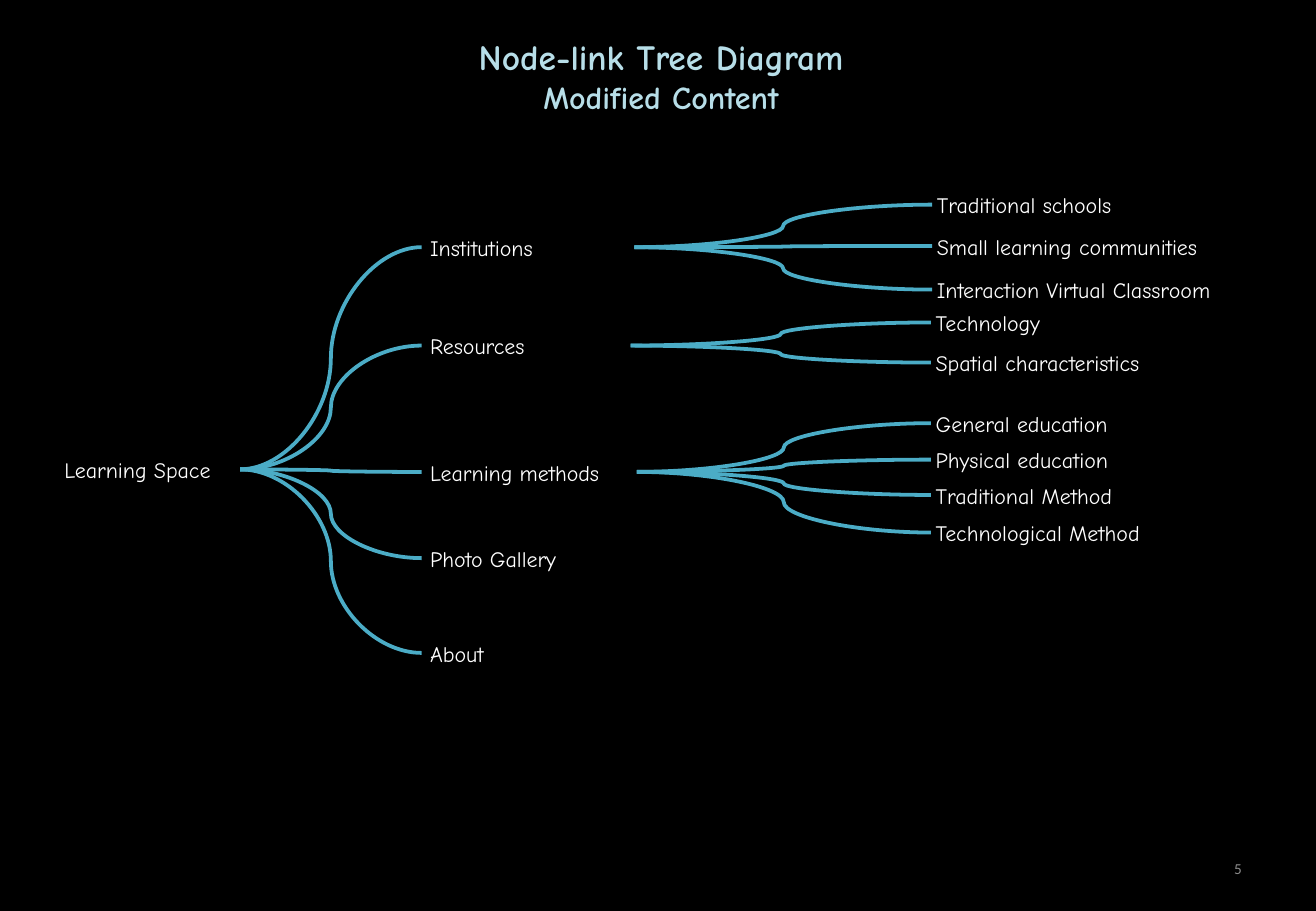
from lxml.etree import SubElement
from pptx import Presentation
from pptx.dml.color import RGBColor
from pptx.enum.shapes import MSO_CONNECTOR
from pptx.enum.text import MSO_ANCHOR, MSO_AUTO_SIZE, PP_ALIGN
from pptx.oxml.ns import qn
from pptx.util import Pt

BLACK = RGBColor(0x00, 0x00, 0x00)
WHITE = RGBColor(0xFF, 0xFF, 0xFF)
TEAL = RGBColor(0x4B, 0xAC, 0xC6)
PALE_BLUE = RGBColor(0xB7, 0xDE, 0xE8)
GRAY = RGBColor(0x8C, 0x8C, 0x8C)

LABEL_FONT = {"name": "Comic Neue", "size": Pt(13)}
TITLE_FONT = {"name": "Comic Neue", "size": Pt(21), "bold": True}
SUBTITLE_FONT = {**TITLE_FONT, "size": Pt(19)}
NUMBER_FONT = {"name": "Calibri", "size": Pt(9)}

WIDE_INSETS = (5.04, 2.88)
NARROW_INSETS = (2.88, 1.44)
BRANCH_LEFT, BRANCH_HEIGHT = 249.84, 20.9
LEAF_HEIGHT = 18

ROOT = ("Learning Space", 33.1, 267.8, 109.2)
BRANCHES = [
    ("Institutions", 136.1, 126, 552.24, [
        ("Traditional schools", 112.3, 131.8),
        ("Small learning communities", 136.8, 180.7),
        ("Interaction Virtual Classroom", 162.7, 197.3),
    ]),
    ("Resources", 194.4, 123.84, 551.52, [
        ("Technology", 182.2, 82.8),
        ("Spatial characteristics", 205.9, 149.8),
    ]),
    ("Learning methods", 269.3, 127.44, 551.52, [
        ("General education", 241.9, 128.2),
        ("Physical education", 263.5, 126),
        ("Traditional Method", 284.4, 136.8),
        ("Technological Method", 306.7, 151.2),
    ]),
    ("Photo Gallery", 320.4, 187.2, 0, []),
    ("About", 376.6, 187.2, 0, []),
]


def format_frame(frame, insets, anchor=MSO_ANCHOR.TOP):
    """Set the insets, wrapping and anchor of a text frame."""
    horizontal, vertical = insets
    settings = {
        "margin_left": Pt(horizontal), "margin_right": Pt(horizontal),
        "margin_top": Pt(vertical), "margin_bottom": Pt(vertical),
        "word_wrap": True, "auto_size": MSO_AUTO_SIZE.NONE,
        "vertical_anchor": anchor,
    }
    for name, value in settings.items():
        setattr(frame, name, value)


def write_paragraph(paragraph, text, font, color, alignment=PP_ALIGN.LEFT):
    """Fill a paragraph with one formatted run."""
    paragraph.alignment = alignment
    paragraph.space_before = Pt(0)
    run = paragraph.add_run()
    run.text = text
    for name, value in font.items():
        setattr(run.font, name, value)
    run.font.color.rgb = color


def add_label(slide, text, left, top, width, height, insets):
    """Add the text of one tree node."""
    box = slide.shapes.add_textbox(Pt(left), Pt(top), Pt(width), Pt(height))
    format_frame(box.text_frame, insets)
    write_paragraph(box.text_frame.paragraphs[0], text, LABEL_FONT, WHITE)
    return box


def add_link(slide, parent, child):
    """Join the right side of a parent to the left side of a child."""
    connector = slide.shapes.add_connector(MSO_CONNECTOR.CURVE, 0, 0, 0, 0)
    connector.begin_connect(parent, 3)
    connector.end_connect(child, 1)
    connector.line.color.rgb = TEAL
    connector.line.width = Pt(2.25)
    SubElement(connector._element.spPr, qn("a:effectLst"))


def add_title(slide):
    """Place and fill the two-line title."""
    title = slide.shapes.title
    title.left, title.top, title.width, title.height = map(Pt, (265.7, 19.4, 252, 51.1))
    frame = title.text_frame
    format_frame(frame, NARROW_INSETS)
    write_paragraph(frame.paragraphs[0], "Node-link Tree Diagram",
                    TITLE_FONT, PALE_BLUE, PP_ALIGN.CENTER)
    write_paragraph(frame.add_paragraph(), "Modified Content",
                    SUBTITLE_FONT, PALE_BLUE, PP_ALIGN.CENTER)


def add_tree(slide):
    """Draw the root, its branches and their leaves."""
    root = add_label(slide, *ROOT, BRANCH_HEIGHT, WIDE_INSETS)
    for text, top, width, leaf_left, leaves in BRANCHES:
        branch = add_label(slide, text, BRANCH_LEFT, top, width, BRANCH_HEIGHT, WIDE_INSETS)
        add_link(slide, root, branch)
        for leaf_text, leaf_top, leaf_width in leaves:
            leaf = add_label(slide, leaf_text, leaf_left, leaf_top, leaf_width,
                             LEAF_HEIGHT, NARROW_INSETS)
            add_link(slide, branch, leaf)


def add_page_number(slide):
    """Add the page number at the lower right."""
    box = slide.shapes.add_textbox(Pt(558.7), Pt(500.4), Pt(182.2), Pt(28.8))
    format_frame(box.text_frame, WIDE_INSETS, MSO_ANCHOR.MIDDLE)
    write_paragraph(box.text_frame.paragraphs[0], "5", NUMBER_FONT, GRAY, PP_ALIGN.RIGHT)


def main():
    """Build and save the tree diagram slide."""
    presentation = Presentation()
    presentation.slide_width, presentation.slide_height = Pt(779.76), Pt(540)
    slide = presentation.slides.add_slide(presentation.slide_layouts[5])
    slide.background.fill.solid()
    slide.background.fill.fore_color.rgb = BLACK
    add_title(slide)
    add_tree(slide)
    add_page_number(slide)
    presentation.save("out.pptx")


if __name__ == "__main__":
    main()
